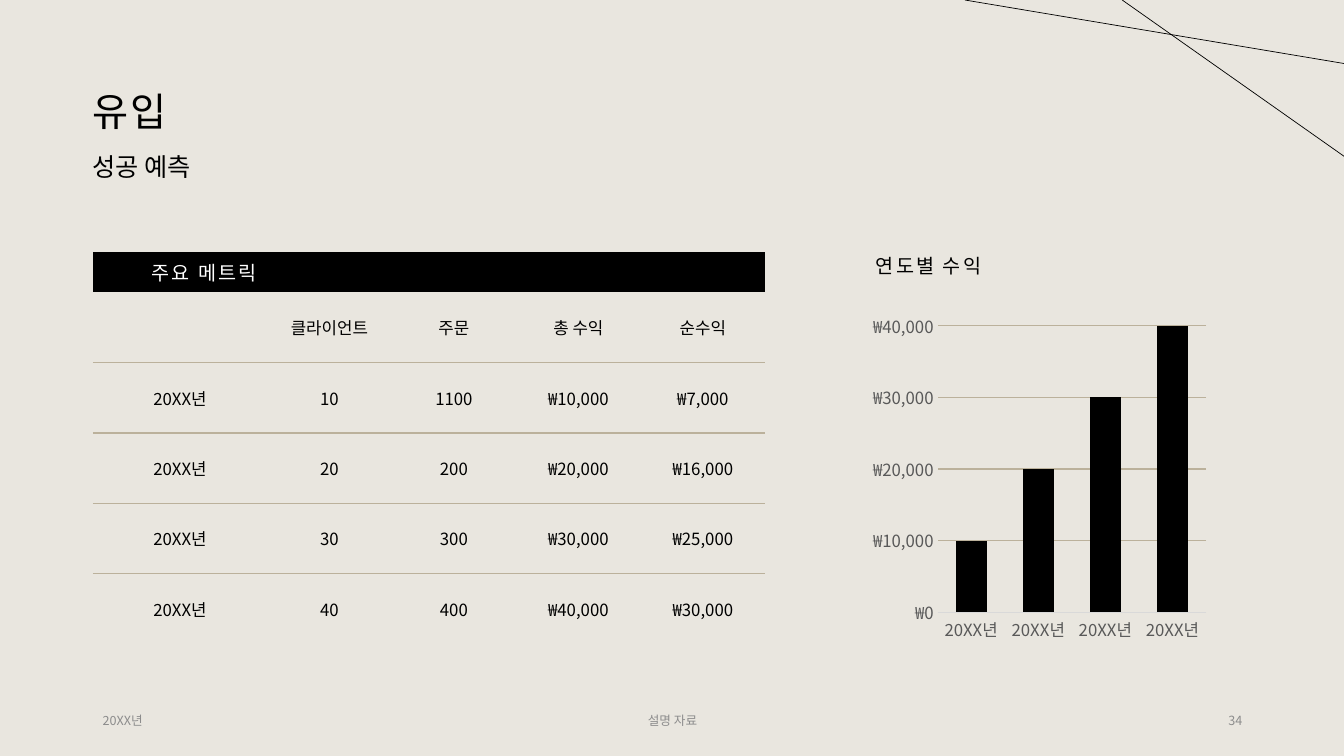
from dataclasses import dataclass

from pptx import Presentation, util as u
from pptx.chart import data
from pptx.dml import color
from pptx.enum import chart as charts, shapes, text
from pptx.oxml import ns, xmlchemy

ALIGN = text.PP_ALIGN
MIDDLE = text.MSO_ANCHOR.MIDDLE


@dataclass(frozen=True)
class Theme:
    """Colours, typeface and type sizes of the slide."""
    font: str = "Noto Sans CJK KR"
    paper: str = "E9E6DF"
    ink: str = "000000"
    white: str = "FFFFFF"
    rule: str = "BBB19B"
    axis_text: str = "595959"
    axis_line: str = "D9D9D9"
    footer_text: str = "8C8C8C"
    title: int = 28
    subtitle: int = 18
    heading: int = 14
    label: int = 12
    footer: int = 9


THEME = Theme()
YEAR = "20XX년"
METRICS = [
    ["", "클라이언트", "주문", "총 수익", "순수익"],
    [YEAR, "10", "1100", "₩10,000", "₩7,000"],
    [YEAR, "20", "200", "₩20,000", "₩16,000"],
    [YEAR, "30", "300", "₩30,000", "₩25,000"],
    [YEAR, "40", "400", "₩40,000", "₩30,000"],
]
REVENUE = [10000, 20000, 30000, 40000]


def rgb(value):
    """Turn a hex string into a colour."""
    return color.RGBColor.from_string(value)


def add_element(parent, tag, **attributes):
    """Append a drawing element with the given attributes."""
    element = xmlchemy.OxmlElement(tag)
    for name, value in attributes.items():
        element.set(name, value)
    parent.append(element)
    return element


def style_font(font, size, ink):
    """Apply the theme typeface, a size and a colour."""
    font.size = u.Pt(size)
    font.name = THEME.font
    font.color.rgb = rgb(ink)


def write(frame, words, size, ink=THEME.ink, align=ALIGN.LEFT, anchor=MIDDLE,
          spacing=0, before=None, leading=None):
    """Write one formatted run into a text frame."""
    frame.word_wrap = True
    frame.vertical_anchor = anchor
    para = frame.paragraphs[0]
    para.alignment = align
    para.space_before = before
    para.line_spacing = leading
    span = para.add_run()
    span.text = words
    style_font(span.font, size, ink)
    properties = span.font._element
    add_element(properties, "a:ea", typeface=THEME.font)
    if spacing:
        properties.set("spc", str(int(spacing * 100)))


def add_text(page, box, words, size, **options):
    """Place a text box."""
    shape = page.shapes.add_textbox(*map(u.Inches, box))
    write(shape.text_frame, words, size, **options)


def add_heading(page, box):
    """Place the title and the subtitle below it."""
    left, top, width, height = box
    title = page.shapes.title
    title.left, title.top, title.width, title.height = map(u.Inches, box)
    title.text_frame.margin_left = 0
    title.text_frame.auto_size = text.MSO_AUTO_SIZE.NONE
    write(title.text_frame, "유입", THEME.title, spacing=1.5, leading=0.9)
    add_text(page, (left - 0.1, top + 1.09, 7.4, 0.54), "성공 예측", THEME.subtitle,
             anchor=text.MSO_ANCHOR.TOP, before=u.Pt(10), leading=0.9)


def set_borders(cell, ruled_sides):
    """Rule the named sides of a cell and clear the others."""
    properties = cell._tc.get_or_add_tcPr()
    for index, side in enumerate("LRTB"):
        line = xmlchemy.OxmlElement(f"a:ln{side}")
        properties.insert(index, line)
        if side in ruled_sides:
            line.set("w", str(u.Pt(1)))
            fill = add_element(line, "a:solidFill")
            add_element(fill, "a:srgbClr", val=THEME.rule)
        else:
            add_element(line, "a:noFill")


def add_metrics(page, box):
    """Place the metrics table with its black heading band."""
    left, top, width, height = box
    first_column, band = 1.73, 0.34
    rows = [["주요 메트릭", "", "", "", ""], *METRICS]
    columns = len(rows[0])
    table = page.shapes.add_table(len(rows), columns, *map(u.Inches, box)).table
    table.first_row = table.horz_banding = False
    for index, column in enumerate(table.columns):
        column.width = u.Inches((width - first_column) / (columns - 1) if index else first_column)
    for index, row in enumerate(table.rows):
        row.height = u.Inches((height - band) / len(METRICS) if index else band)
    last = len(rows) - 1
    for r, values in enumerate(rows):
        sides = ("T" if r > 1 else "") + ("B" if 0 < r < last else "")
        for c, value in enumerate(values):
            cell = table.cell(r, c)
            cell.vertical_anchor = MIDDLE
            set_borders(cell, sides)
            if r == 0:
                cell.fill.solid()
                cell.fill.fore_color.rgb = rgb(THEME.ink)
            else:
                cell.fill.background()
            if value and r == 0:
                write(cell.text_frame, value, THEME.heading, THEME.white, ALIGN.RIGHT, spacing=1.5)
            elif value:
                write(cell.text_frame, value, THEME.label, align=ALIGN.CENTER)


def style_axis(axis):
    """Give an axis its labels and remove its tick marks."""
    axis.major_tick_mark = axis.minor_tick_mark = charts.XL_TICK_MARK.NONE
    style_font(axis.tick_labels.font, THEME.label, THEME.axis_text)
    add_element(axis.tick_labels.font._element, "a:ea", typeface=THEME.font)


def add_revenue(page, box):
    """Place the revenue heading and its column chart."""
    left, top, width, height = box
    add_text(page, (left, top, width, 0.34), "연도별 수익", THEME.heading,
             anchor=text.MSO_ANCHOR.TOP, spacing=1.5, before=u.Pt(10), leading=0.9)
    figures = data.CategoryChartData()
    figures.categories = [YEAR] * len(REVENUE)
    figures.add_series("Series 1", REVENUE)
    area = map(u.Inches, (left, top + 0.54, width, height - 0.54))
    chart = page.shapes.add_chart(charts.XL_CHART_TYPE.COLUMN_CLUSTERED, *area, figures).chart
    chart.has_legend = chart.has_title = False
    style_font(chart.font, 10, THEME.ink)
    plot = chart.plots[0]
    plot.gap_width, plot.overlap, plot.vary_by_categories = 118, -3, False
    fill = plot.series[0].format.fill
    fill.solid()
    fill.fore_color.rgb = rgb(THEME.ink)
    years, amounts = chart.category_axis, chart.value_axis
    style_axis(years)
    style_axis(amounts)
    amounts.minimum_scale, amounts.maximum_scale, amounts.major_unit = 0, 40000, 10000
    amounts.tick_labels.number_format = '"₩"#,##0'
    amounts.tick_labels.number_format_is_linked = False
    amounts.format.line.fill.background()
    for line, ink in ((years.format.line, THEME.axis_line),
                      (amounts.major_gridlines.format.line, THEME.rule)):
        line.color.rgb = rgb(ink)
        line.width = u.Pt(0.75)


def add_footer(page, box):
    """Place the date, the footer and the page number."""
    left, top, width, height = box
    side = 3
    parts = ((left, side, YEAR, ALIGN.LEFT),
             (left + side + 0.5, width - 2 * side - 1, "설명 자료", ALIGN.CENTER),
             (left + width - side, side, "34", ALIGN.RIGHT))
    for x, span, words, align in parts:
        add_text(page, (x, top, span, height), words, THEME.footer,
                 ink=THEME.footer_text, align=align)


def add_corner_lines(page, box):
    """Draw two crossing lines in the corner box."""
    left, top, width, height = box
    right = left + width
    for start, drop in ((left + 1.56, height), (left, 0.63)):
        ends = map(u.Inches, (start, top, right, top + drop))
        line = page.shapes.add_connector(shapes.MSO_CONNECTOR.STRAIGHT, *ends)
        line.line.color.rgb = rgb(THEME.ink)
        line.line.width = u.Pt(0.5)
        line._element.find(ns.qn("p:spPr")).append(xmlchemy.OxmlElement("a:effectLst"))


def main():
    """Build and save the slide."""
    deck = Presentation()
    deck.slide_width, deck.slide_height = u.Inches(13.33), u.Inches(7.5)
    page = deck.slides.add_slide(deck.slide_layouts[5])
    page.background.fill.solid()
    page.background.fill.fore_color.rgb = rgb(THEME.paper)
    add_heading(page, (0.92, 0.4, 11.5, 1.45))
    add_metrics(page, (0.92, 2.5, 6.67, 3.83))
    add_revenue(page, (8.59, 2.5, 3.44, 3.93))
    add_footer(page, (0.92, 6.95, 11.5, 0.4))
    add_corner_lines(page, (9.57, 0, 3.76, 1.55))
    deck.save("out.pptx")


if __name__ == "__main__":
    main()
